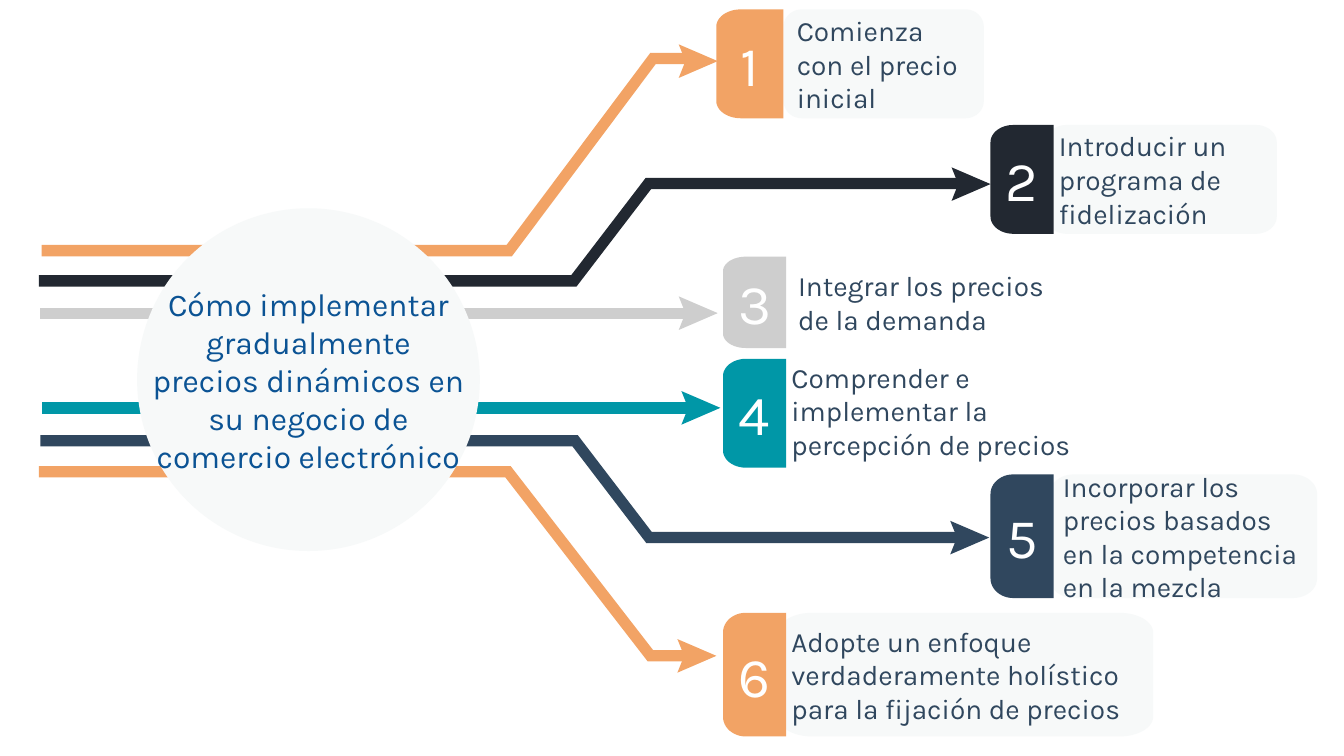
from math import cos, pi, sin
from typing import NamedTuple

from pptx import Presentation
from pptx.dml.color import RGBColor
from pptx.enum.shapes import MSO_SHAPE
from pptx.enum.text import MSO_ANCHOR, MSO_AUTO_SIZE, PP_ALIGN
from pptx.util import Inches, Pt

ORANGE = RGBColor(0xF2, 0xA3, 0x65)
BLACK = RGBColor(0x22, 0x28, 0x31)
GRAY = RGBColor(0xCE, 0xCE, 0xCE)
TEAL = RGBColor(0x00, 0x97, 0xA7)
NAVY = RGBColor(0x30, 0x47, 0x5E)
PALE = RGBColor(0xF7, 0xF9, 0xF9)
BLUE = RGBColor(0x0B, 0x53, 0x94)
WHITE = RGBColor(0xFF, 0xFF, 0xFF)

FONT = "Karla"
CELL = Inches(0.1)  # the slide is 100 columns by 56.25 rows
COLS, ROWS = 100, 56.25
HALF = 0.42         # half the width of a band
MITRE = 0.2         # sideways shift of a band's edge at a bend

Point = tuple[float, float]


class Box(NamedTuple):
    left: float
    top: float
    width: float
    height: float


class Lane(NamedTuple):
    color: RGBColor
    start: Point
    bends: tuple[Point, ...]
    tip: Point


class Card(NamedTuple):
    color: RGBColor
    tab: Box
    label: Box
    text: str
    filled: bool = True


LANES = (
    Lane(TEAL, (3.1, 30.35), (), (53.6, 30.35)),
    Lane(GRAY, (3, 23.3), (), (53.4, 23.3)),
    Lane(ORANGE, (3.1, 18.65), ((37.9, 18.65), (48.6, 4.35)), (53.4, 4.55)),
    Lane(BLACK, (2.9, 20.9), ((42.7, 20.9), (48.25, 13.65)), (73.7, 13.7)),
    Lane(NAVY, (3, 32.8), ((42.8, 32.8), (48.3, 40)), (73.6, 40)),
    Lane(ORANGE, (2.9, 35.1), ((37.8, 35.1), (48.4, 48.8)), (53.3, 48.8)),
)

CARDS = (
    Card(ORANGE, Box(53.3, 0.7, 5, 8.1), Box(58.3, 0.7, 14.9, 8.1),
         "Comienza con el precio inicial"),
    Card(BLACK, Box(73.7, 9.3, 4.7, 8.1), Box(77.8, 9.3, 17.2, 8.1),
         "Introducir un programa de fidelización"),
    Card(GRAY, Box(53.8, 19.1, 4.7, 6.8), Box(58.4, 19.1, 22.7, 6.8),
         "Integrar los precios de la demanda", False),
    Card(TEAL, Box(53.8, 26.7, 4.7, 8.1), Box(57.9, 26.5, 23.1, 8.1),
         "Comprender e implementar la percepción de precios", False),
    Card(NAVY, Box(73.7, 35.3, 4.7, 9.2), Box(78.1, 35.3, 19.9, 9.2),
         "Incorporar los precios basados en la competencia en la mezcla"),
    Card(ORANGE, Box(53.8, 45.6, 4.7, 9.2), Box(57.9, 45.6, 27.9, 9.2),
         "Adopte un enfoque verdaderamente holístico para la fijación de precios"),
)

HUB = Box(10.2, 15.5, 25.5, 25.5)
TITLE = ("Cómo implementar gradualmente precios dinámicos en su negocio "
         "de comercio electrónico")


def grid(*cells: float) -> list[int]:
    return [round(cell * CELL) for cell in cells]


def paint(shape, color: RGBColor) -> None:
    shape.shadow.inherit = False
    shape.fill.solid()
    shape.fill.fore_color.rgb = color
    shape.line.fill.background()


def outline(slide, points: list[Point], color: RGBColor):
    """Draw a filled polygon through the grid points."""
    first, *rest = [tuple(grid(*point)) for point in points]
    pen = slide.shapes.build_freeform(*first)
    pen.add_line_segments(rest, close=True)
    shape = pen.convert_to_shape()
    paint(shape, color)
    return shape


def write(shape, text: str, size: int, color: RGBColor, align=PP_ALIGN.LEFT) -> None:
    frame = shape.text_frame
    frame.text = text
    frame.word_wrap = True
    frame.auto_size = MSO_AUTO_SIZE.NONE
    frame.vertical_anchor = MSO_ANCHOR.MIDDLE
    frame.margin_left = frame.margin_right = CELL
    frame.margin_top = frame.margin_bottom = CELL
    line = frame.paragraphs[0]
    line.alignment = align
    line.font.name = FONT
    line.font.size = Pt(size)
    line.font.color.rgb = color


def corner(x: float, y: float, rx: float, ry: float, turn: int) -> list[Point]:
    """Quarter of an ellipse round (x, y), clockwise from a number of right angles."""
    angles = [(turn + step / 12) * pi / 2 for step in range(13)]
    return [(x + rx * cos(a), y + ry * sin(a)) for a in angles]


def rounded(box: Box, share: float, both: bool) -> list[Point]:
    """Box with round left corners, and round right ones too if both."""
    left, top, width, height = box
    right, base = left + width, top + height
    rx, ry = share * width, 0.16 * height
    points = corner(left + rx, base - ry, rx, ry, 1)
    points += corner(left + rx, top + ry, rx, ry, 2)
    if both:
        points += corner(right - rx, top + ry, rx, ry, 3)
        points += corner(right - rx, base - ry, rx, ry, 0)
    else:
        points += [(right, top), (right, base)]
    return points


def draw_lane(slide, lane: Lane) -> None:
    x, y = lane.tip
    level = lane.bends[-1][1] if lane.bends else y
    side = MITRE if level > lane.start[1] else -MITRE
    ends = (lane.start, (x - 2, level))
    spine = [(*ends[0], 0), *((*bend, side) for bend in lane.bends), (*ends[1], 0)]
    upper = [(px + shift, py - HALF) for px, py, shift in spine]
    lower = [(px - shift, py + HALF) for px, py, shift in spine]
    outline(slide, upper + lower[::-1], lane.color)
    head = [(x - 2.9, y - 1.25), (x - 2.4, y), (x - 2.9, y + 1.25), (x, y)]
    outline(slide, head, lane.color)


def draw_card(slide, number: int, card: Card) -> None:
    if card.filled:
        label = outline(slide, rounded(card.label, 0.09, True), PALE)
    else:
        label = slide.shapes.add_textbox(*grid(*card.label))
    write(label, card.text, 15, NAVY)
    tab = outline(slide, rounded(card.tab, 0.36, False), card.color)
    write(tab, str(number), 30, WHITE, PP_ALIGN.CENTER)


def draw_hub(slide) -> None:
    place = grid(*HUB)
    paint(slide.shapes.add_shape(MSO_SHAPE.OVAL, *place), PALE)
    title = slide.shapes.title
    title.left, title.top, title.width, title.height = place
    write(title, TITLE, 17, BLUE, PP_ALIGN.CENTER)
    slide.shapes._spTree.append(title._element)  # bring above the disc


def main() -> None:
    deck = Presentation()
    deck.slide_width, deck.slide_height = grid(COLS, ROWS)
    slide = deck.slides.add_slide(deck.slide_layouts[5])
    for lane in LANES:
        draw_lane(slide, lane)
    draw_hub(slide)
    for number, card in enumerate(CARDS, 1):
        draw_card(slide, number, card)
    deck.save("out.pptx")


if __name__ == "__main__":
    main()
